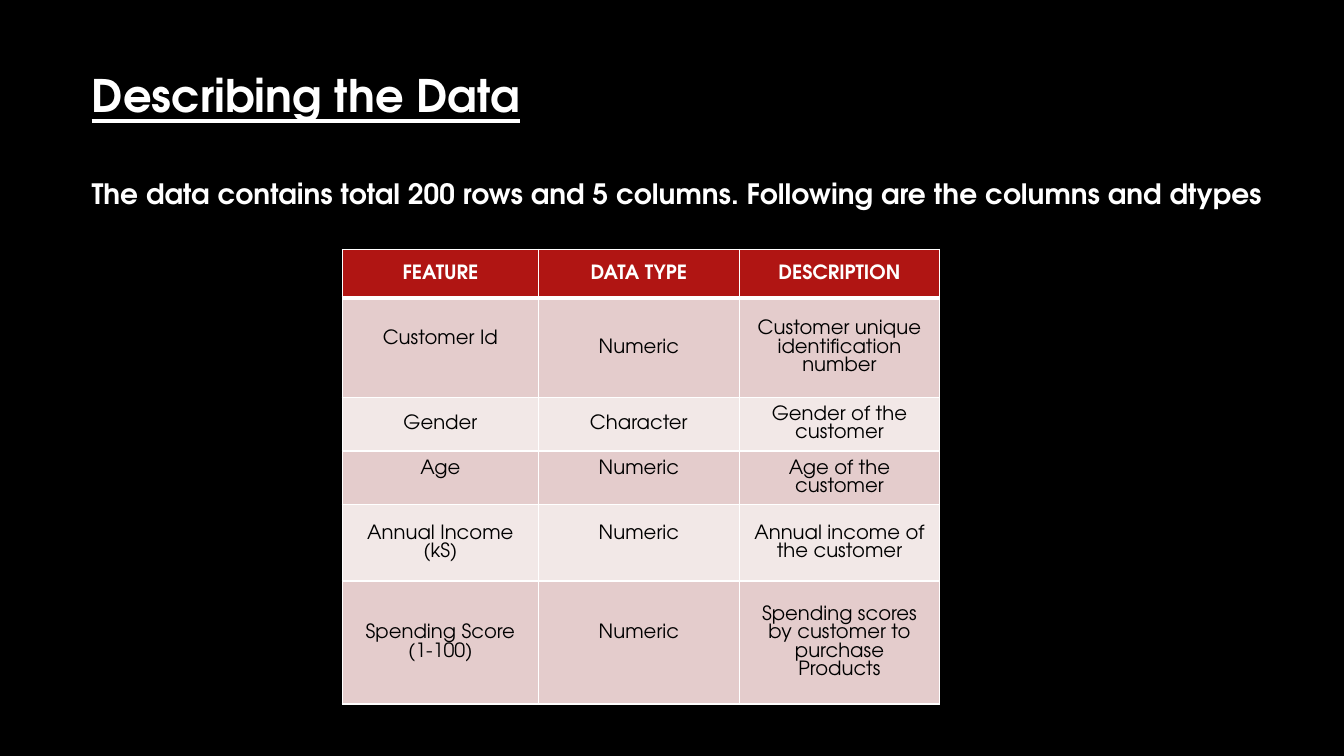
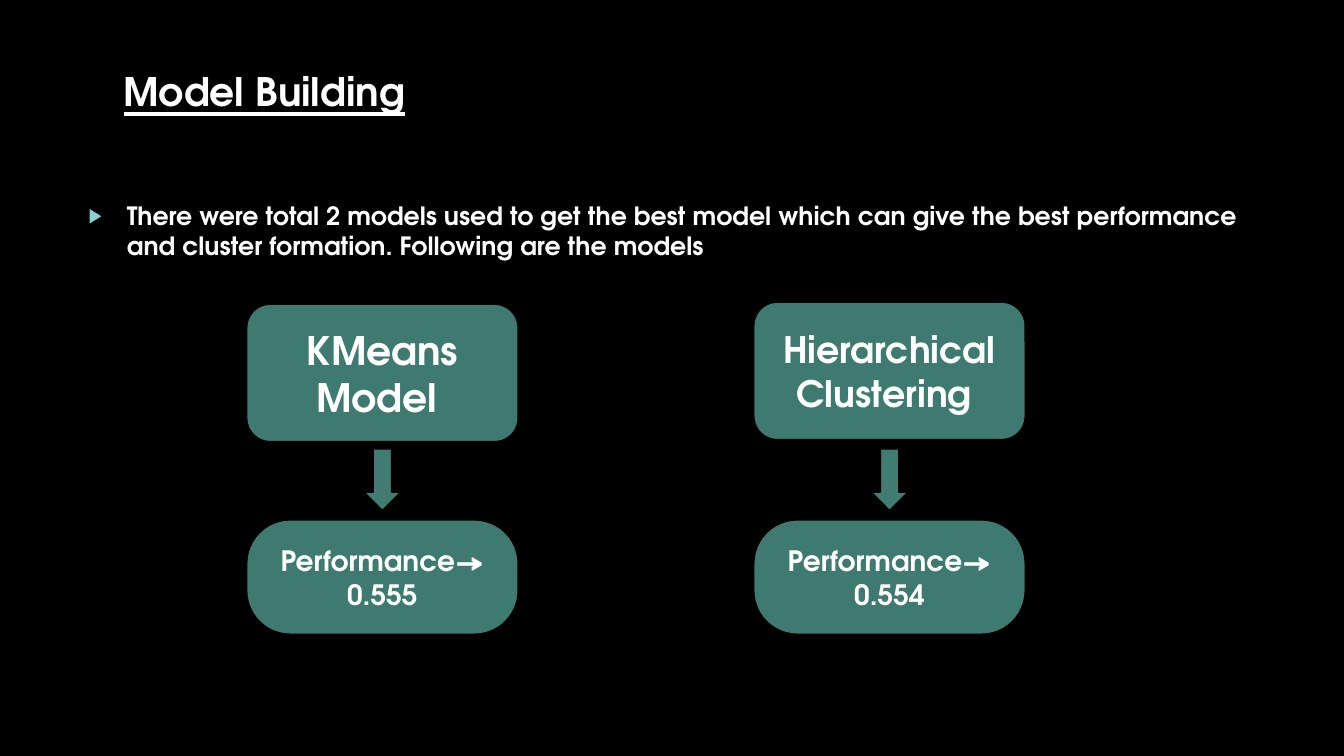
from lxml import etree
from pptx import Presentation
from pptx.dml.color import RGBColor
from pptx.enum.shapes import MSO_SHAPE
from pptx.enum.text import MSO_ANCHOR, PP_ALIGN
from pptx.oxml import parse_xml
from pptx.oxml.ns import nsdecls, qn
from pptx.util import Inches, Pt

ROUND, ARROW = MSO_SHAPE.ROUNDED_RECTANGLE, MSO_SHAPE.DOWN_ARROW
TOP, MIDDLE = MSO_ANCHOR.TOP, MSO_ANCHOR.MIDDLE
LEFT, CENTER = PP_ALIGN.LEFT, PP_ALIGN.CENTER

FONT = "TeX Gyre Adventor"
BLACK = RGBColor(0x00, 0x00, 0x00)
WHITE = RGBColor(0xFF, 0xFF, 0xFF)
RED = RGBColor(0xB0, 0x15, 0x13)
ROSE = RGBColor(0xE4, 0xCC, 0xCC)
PALE = RGBColor(0xF2, 0xE8, 0xE7)
TEAL = RGBColor(0x3E, 0x7A, 0x6F)
MOSS = RGBColor(0x40, 0x7C, 0x71)
AQUA = RGBColor(0x8A, 0xD0, 0xD6)

# The grid has 100 columns and 100 rows.
WIDE, HIGH = Inches(13.33), Inches(7.5)

TITLE_TOP = 8.27
HEADS = ["FEATURE", "DATA TYPE", "DESCRIPTION"]
FIELDS = [
    ["Customer Id", "Numeric", "Customer unique identification number"],
    ["Gender", "Character", "Gender of the customer"],
    ["Age", "Numeric", "Age of the customer"],
    ["Annual Income (kS)", "Numeric", "Annual income of the customer"],
    ["Spending Score (1-100)", "Numeric",
     "Spending scores by customer to purchase\nProducts"],
]
COLS = [14.6, 14.93, 14.93]
ROWS = [6.4, 13.2, 7.07, 7.07, 10.13, 16.27]
RAISED = {(1, 0), (3, 0), (3, 1), (4, 1), (5, 1)}

# Left column, top row, name, text size, score
MODELS = [
    (18.37, 40.27, "KMeans Model ", 28, "0.555"),
    (56.1, 40, "Hierarchical Clustering ", 26, "0.554"),
]
BOX_WIDE, ARROW_WIDE = 20.17, 2.85


def col(share):
    """Turn grid columns into a length."""
    return round(WIDE * share / 100)


def row(share):
    """Turn grid rows into a length."""
    return round(HIGH * share / 100)


def place(left, top, wide, high):
    """Turn a grid area into left, top, width and height."""
    return col(left), row(top), col(wide), row(high)


def write(frame, text, size, color=WHITE, bold=True, line=False,
          align=LEFT, anchor=TOP):
    """Fill a text frame, one paragraph for each line of text."""
    frame.word_wrap = True
    frame.vertical_anchor = anchor
    for i, part in enumerate(text.split("\n")):
        para = frame.paragraphs[0] if i == 0 else frame.add_paragraph()
        para.alignment = align
        run = para.add_run()
        run.text = part
        font = run.font
        font.name, font.size, font.bold = FONT, Pt(size), bold
        font.underline = line
        font.color.rgb = color
    return frame


def add_text(slide, area, text, size, line=False):
    """Add a text box and return its first paragraph."""
    box = slide.shapes.add_textbox(*place(*area))
    return write(box.text_frame, text, size, line=line).paragraphs[0]


def add_slide(deck, title, left, size):
    """Add a black slide with an underlined title."""
    slide = deck.slides.add_slide(deck.slide_layouts[6])
    fill = slide.background.fill
    fill.solid()
    fill.fore_color.rgb = BLACK
    add_text(slide, (left, TITLE_TOP, 80, 14.9), title, size, line=True)
    return slide


def add_shape(slide, kind, area, color, edge):
    """Add a filled preset shape with a black outline."""
    shape = slide.shapes.add_shape(kind, *place(*area))
    shape.shadow.inherit = False
    shape.fill.solid()
    shape.fill.fore_color.rgb = color
    shape.line.color.rgb = BLACK
    shape.line.width = Pt(edge)
    return shape


def add_box(slide, area, text, size, curve=0.17):
    """Add a teal rounded box with centred text."""
    box = add_shape(slide, ROUND, area, TEAL, 0.75)
    box.adjustments[0] = curve
    write(box.text_frame, text, size, align=CENTER, anchor=MIDDLE)


def add_bullet(para):
    """Give a paragraph a hanging triangle bullet."""
    props = para._p.get_or_add_pPr()
    props.set("marL", str(Inches(0.38)))
    props.set("indent", str(-Inches(0.38)))
    tint = etree.SubElement(props, qn("a:buClr"))
    etree.SubElement(tint, qn("a:srgbClr")).set("val", str(AQUA))
    etree.SubElement(props, qn("a:buSzPct")).set("val", "80000")
    etree.SubElement(props, qn("a:buFont")).set("typeface", "Arial")
    etree.SubElement(props, qn("a:buChar")).set("char", "▶")


def add_edges(cell, top, bottom):
    """Draw white cell borders, 1 pt at the sides."""
    props = cell._tc.get_or_add_tcPr()
    sides = [("L", 1), ("R", 1), ("T", top), ("B", bottom)]
    for i, (side, size) in enumerate(sides):
        props.insert(i, parse_xml(
            f'<a:ln{side} {nsdecls("a")} w="{Pt(size)}"><a:solidFill>'
            f'<a:srgbClr val="{WHITE}"/></a:solidFill></a:ln{side}>'))


def fill_cell(cell, text, r, raised):
    """Style one cell by its row; a raised cell sits half a line higher."""
    head = r == 0
    cell.fill.solid()
    cell.fill.fore_color.rgb = RED if head else ROSE if r % 2 else PALE
    frame = write(cell.text_frame, text, 14, WHITE if head else BLACK,
                  bold=head, align=CENTER)
    cell.vertical_anchor = MIDDLE
    for para in frame.paragraphs:
        para.line_spacing = Pt(13)
    if raised:
        cell.margin_bottom = Inches(0.23)
    add_edges(cell, 3 if r == 1 else 1, 3 if head else 1)


def add_grid(slide, left, top):
    """Add the table of features."""
    area = place(left, top, sum(COLS), sum(ROWS))
    grid = slide.shapes.add_table(len(ROWS), len(COLS), *area).table
    for c, wide in enumerate(COLS):
        grid.columns[c].width = col(wide)
    for r, texts in enumerate([HEADS] + FIELDS):
        grid.rows[r].height = row(ROWS[r])
        for c, text in enumerate(texts):
            fill_cell(grid.cell(r, c), text, r, (r, c) in RAISED)


def add_model(slide, left, top, name, size, score):
    """Add a model box, an arrow and its score box."""
    add_box(slide, (left, top, BOX_WIDE, 18.13), name, size)
    add_box(slide, (left, 68.8, BOX_WIDE, 15.07),
            f"Performance→ {score}", 20, curve=0.38)
    mid = left + (BOX_WIDE - ARROW_WIDE) / 2
    add_shape(slide, ARROW, (mid, 59.33, ARROW_WIDE, 8.27), MOSS, 1.5)


def main():
    """Build both slides and save them."""
    deck = Presentation()
    deck.slide_width, deck.slide_height = WIDE, HIGH

    data = add_slide(deck, "Describing the Data", 6.08, 32)
    add_grid(data, 25.47, 33)
    intro = add_text(data, (6.08, 23.2, 91.5, 10.27),
                     "The data contains total 200 rows and 5 columns. "
                     "Following are the columns and dtypes", 20)
    intro.line_spacing = 0.9

    build = add_slide(deck, "Model Building", 8.47, 28)
    note = add_text(build, (5.85, 25.87, 88.07, 14),
                    "There were total 2 models used to get the best model "
                    "which can give the best performance and cluster "
                    "formation. Following are the models", 18)
    add_bullet(note)
    for model in MODELS:
        add_model(build, *model)

    deck.save("out.pptx")


main()
